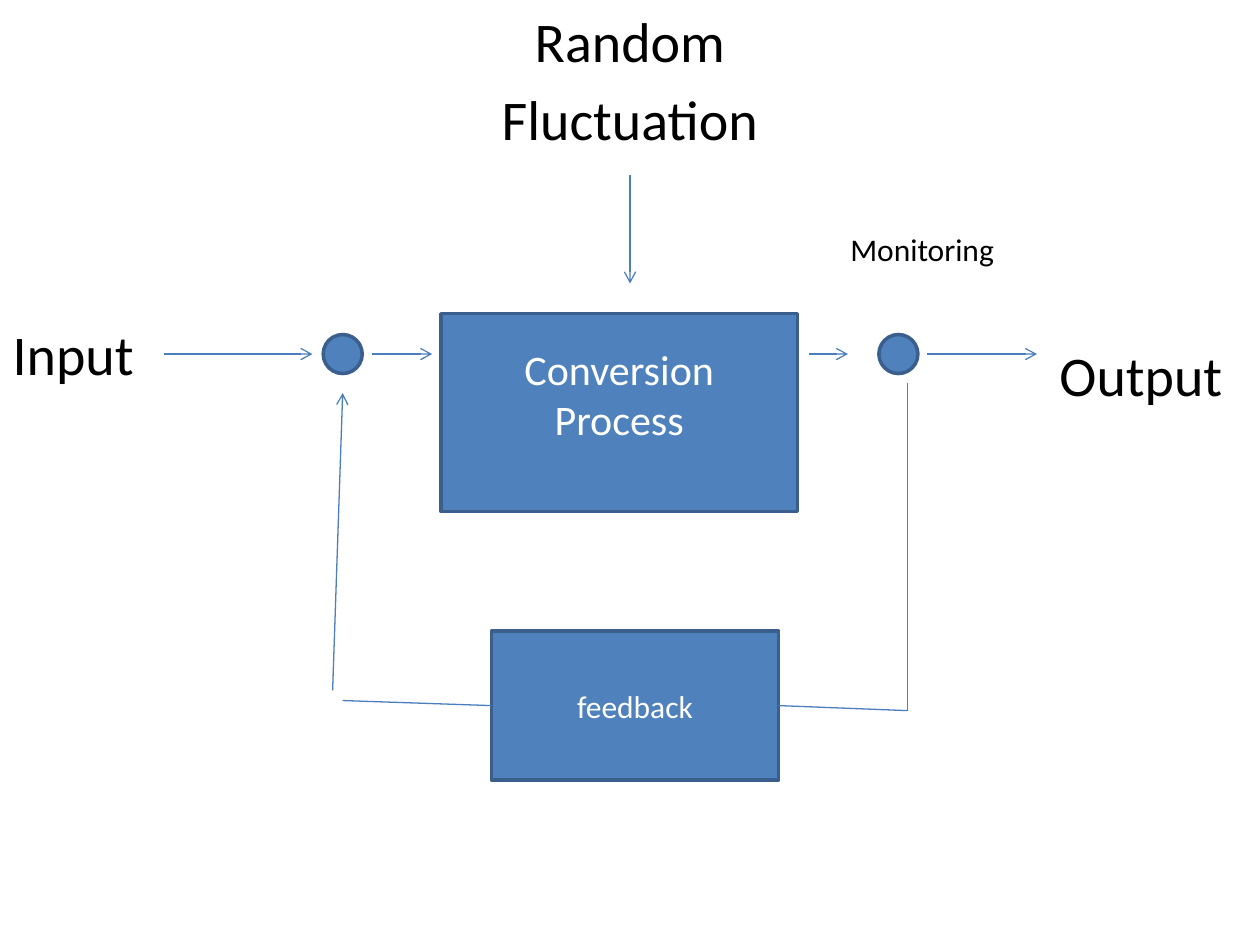
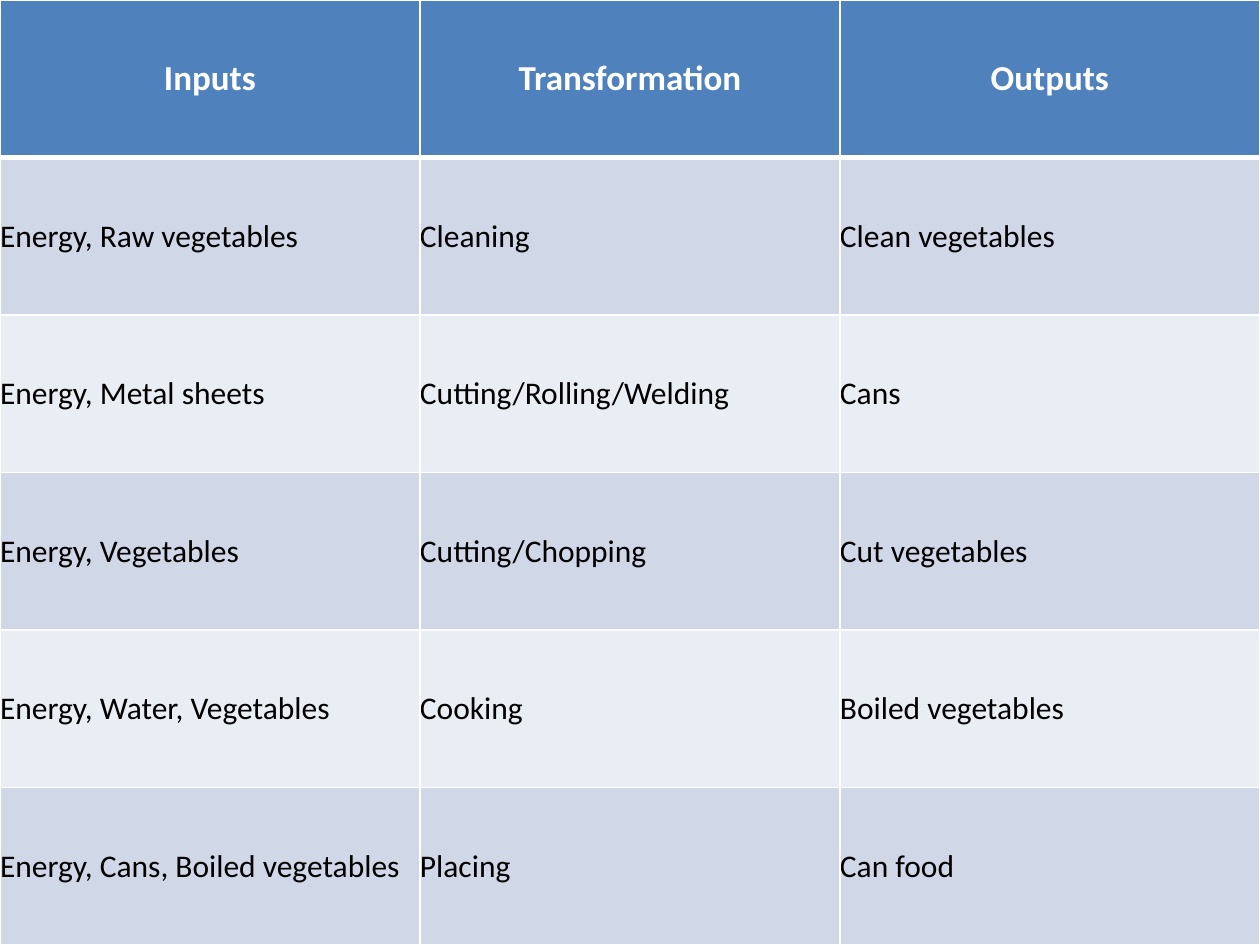
from pptx import Presentation
from pptx.dml.color import RGBColor
from pptx.enum.shapes import MSO_CONNECTOR as Link, MSO_SHAPE as Form
from pptx.enum.text import MSO_ANCHOR as Anchor, PP_ALIGN as Align
from pptx.oxml.ns import qn
from pptx.util import Inches, Pt
from lxml.etree import SubElement, Element

FONT = "Calibri"
BLUE, EDGE, WIRE = "4F81BD", "3A5F8C", "4B7EBC"
WHITE, BLACK = "FFFFFF", "000000"
BANDS = ["D0D8E8", "E9EDF4"]
WIDE, HIGH = 10, 7.5

# Text, alignment, space before in points; Input drops to the flow line
BODY = [
    ("Random", Align.CENTER, 6.4),
    ("Fluctuation", Align.CENTER, 6.4),
    ("Input", Align.LEFT, 96),
]
# Lines, left, top, width, height, size, bottom inset
BOXES = {
    "process": (["Conversion", "Process"], 3.5, 2.49, 2.83, 1.57, 24, 0.35),
    "feedback": (["feedback"], 3.9, 5.01, 2.28, 1.18, 18, 0.05),
}
LABELS = [
    ("Output", 8.31, 2.65, 1.69, 0.64, 32),
    ("Monitoring", 6.65, 1.78, 1.5, 0.4, 18),
]
FLOW = 2.81  # height of the line from input to output
NODES, NODE = [2.72, 7.13], 0.31  # centres and diameter
STEPS = [(1.3, 2.48), (2.95, 3.43), (6.42, 6.73), (7.36, 8.23)]
ARROWS = [((x1, FLOW), (x2, FLOW)) for x1, x2 in STEPS] + [
    ((2.64, 5.48), (2.72, 3.12)),
    ((5, 1.39), (5, 2.25)),
]
DROP = ((7.2, 3.04), (7.2, 5.64))
# Side of the feedback box, far end of its line
ARMS = [(1, (2.72, 5.56)), (3, (7.2, 5.64))]

TABLE = [
    ("Inputs", "Transformation", "Outputs"),
    ("Energy, Raw vegetables", "Cleaning", "Clean vegetables"),
    ("Energy, Metal sheets", "Cutting/Rolling/Welding", "Cans"),
    ("Energy, Vegetables", "Cutting/Chopping", "Cut vegetables"),
    ("Energy, Water, Vegetables", "Cooking", "Boiled vegetables"),
    ("Energy, Cans, Boiled vegetables", "Placing", "Can food"),
]


def rgb(code):
    return RGBColor.from_string(code)


def paint(fill, code):
    fill.solid()
    fill.fore_color.rgb = rgb(code)


def write(para, text, size, code, align=Align.LEFT, bold=False):
    para.alignment = align
    run = para.add_run()
    run.text = text
    font = run.font
    font.name, font.size, font.bold = FONT, Pt(size), bold
    font.color.rgb = rgb(code)


def paras(frame, count):
    """Return the first paragraph of the frame and as many new ones as needed."""
    return [frame.paragraphs[0]] + [frame.add_paragraph() for _ in range(count - 1)]


def add_form(slide, form, *place):
    shape = slide.shapes.add_shape(form, *map(Inches, place))
    shape.shadow.inherit = False
    paint(shape.fill, BLUE)
    shape.line.color.rgb = rgb(EDGE)
    shape.line.width = Pt(2)
    return shape


def add_box(slide, lines, left, top, wide, high, size, inset):
    box = add_form(slide, Form.RECTANGLE, left, top, wide, high)
    frame = box.text_frame
    frame.word_wrap = True
    frame.vertical_anchor = Anchor.MIDDLE
    frame.margin_bottom = Inches(inset)
    for para, line in zip(paras(frame, len(lines)), lines):
        write(para, line, size, WHITE, Align.CENTER)
    return box


def add_label(slide, text, left, top, wide, high, size):
    box = slide.shapes.add_textbox(*map(Inches, (left, top, wide, high)))
    box.text_frame.word_wrap = True
    write(box.text_frame.paragraphs[0], text, size, BLACK)


def add_line(slide, start, end, arrow=False):
    wire = slide.shapes.add_connector(Link.STRAIGHT, *map(Inches, start + end))
    wire.line.color.rgb = rgb(WIRE)
    wire.line.width = Pt(0.75)
    props = wire._element.spPr
    if arrow:
        SubElement(props.find(qn("a:ln")), qn("a:tailEnd"), type="arrow")
    SubElement(props, qn("a:effectLst"))
    return wire


def fill_body(slide):
    title = slide.shapes.title._element
    title.getparent().remove(title)
    body = slide.placeholders[1]
    body.left = body.top = 0
    body.width, body.height = Inches(WIDE), Inches(HIGH)
    for para, (text, align, gap) in zip(paras(body.text_frame, len(BODY)), BODY):
        write(para, text, 32, BLACK, align)
        para.space_before = Pt(gap)
        props = para._p.get_or_add_pPr()
        props.set("marL", "0")
        props.set("indent", "0")
        SubElement(props, qn("a:buNone"))


def draw_flow(deck):
    slide = deck.slides.add_slide(deck.slide_layouts[1])
    fill_body(slide)
    for mid in NODES:
        add_form(slide, Form.OVAL, mid - NODE / 2, FLOW - NODE / 2, NODE, NODE)
    boxes = {name: add_box(slide, *box) for name, box in BOXES.items()}
    for start, end in ARROWS:
        add_line(slide, start, end, arrow=True)
    add_line(slide, *DROP)
    for side, end in ARMS:
        add_line(slide, end, end).begin_connect(boxes["feedback"], side)
    for label in LABELS:
        add_label(slide, *label)


def add_edges(cell, top, base):
    """Draw white cell borders; top and base are widths in points."""
    props = cell._tc.get_or_add_tcPr()
    for spot, (side, width) in enumerate(zip("LRTB", (1, 1, top, base))):
        edge = Element(qn(f"a:ln{side}"), w=str(Pt(width)))
        fill = SubElement(edge, qn("a:solidFill"))
        SubElement(fill, qn("a:srgbClr"), val=WHITE)
        props.insert(spot, edge)


def draw_table(deck):
    slide = deck.slides.add_slide(deck.slide_layouts[6])
    size = len(TABLE), len(TABLE[0])
    grid = slide.shapes.add_table(*size, 0, 0, Inches(WIDE), Inches(HIGH)).table
    for r, row in enumerate(TABLE):
        head = r == 0
        for c, text in enumerate(row):
            cell = grid.cell(r, c)
            cell.vertical_anchor = Anchor.MIDDLE
            cell.margin_left = cell.margin_right = 0
            cell.margin_top = cell.margin_bottom = 0
            paint(cell.fill, BLUE if head else BANDS[(r - 1) % 2])
            add_edges(cell, 3 if r == 1 else 1, 3 if head else 1)
            para = cell.text_frame.paragraphs[0]
            if head:
                write(para, text, 20, WHITE, Align.CENTER, bold=True)
            else:
                write(para, text, 18, BLACK, Align.JUSTIFY)


def main():
    deck = Presentation()
    deck.slide_width, deck.slide_height = Inches(WIDE), Inches(HIGH)
    draw_flow(deck)
    draw_table(deck)
    deck.save("out.pptx")


if __name__ == "__main__":
    main()
